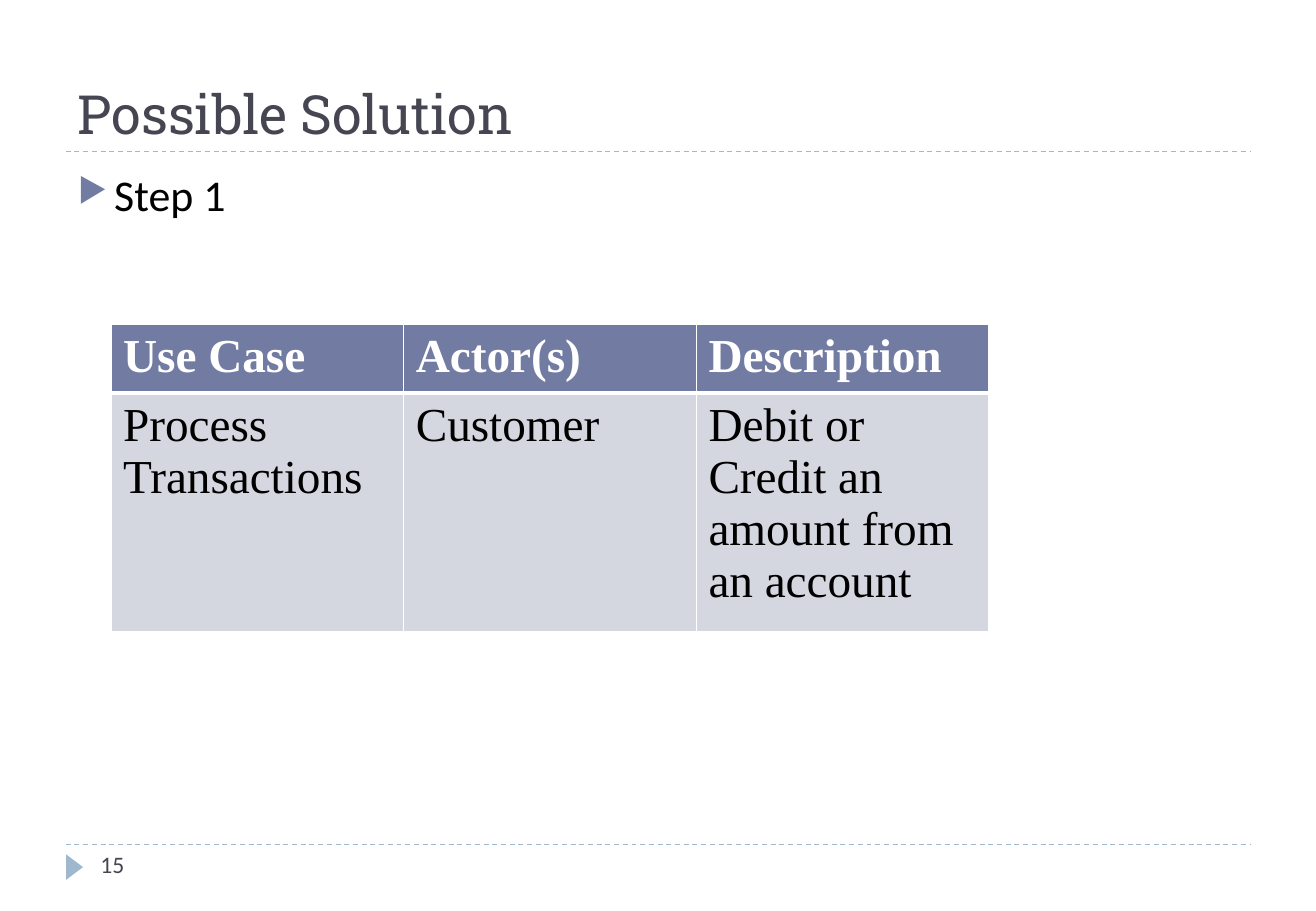
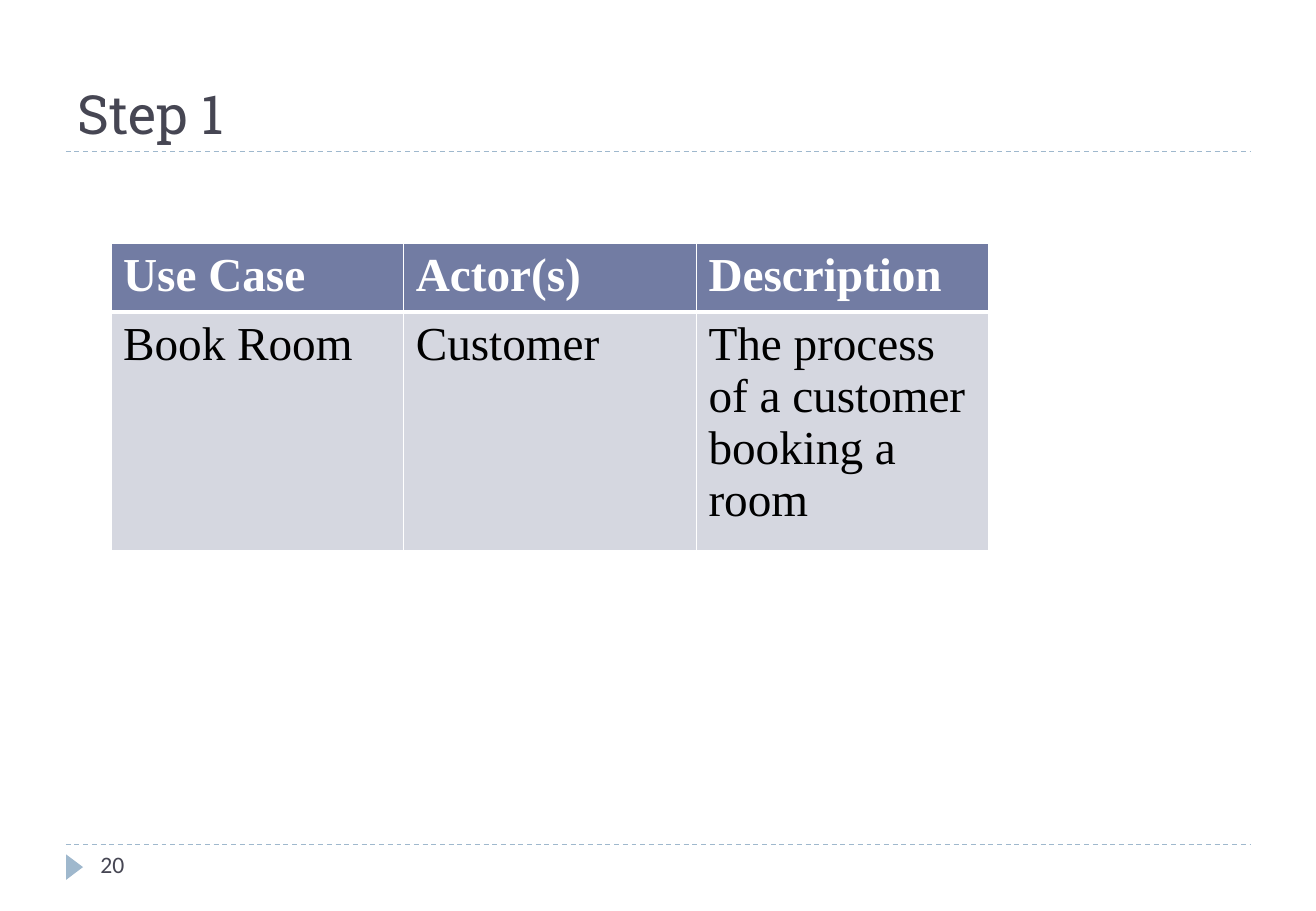
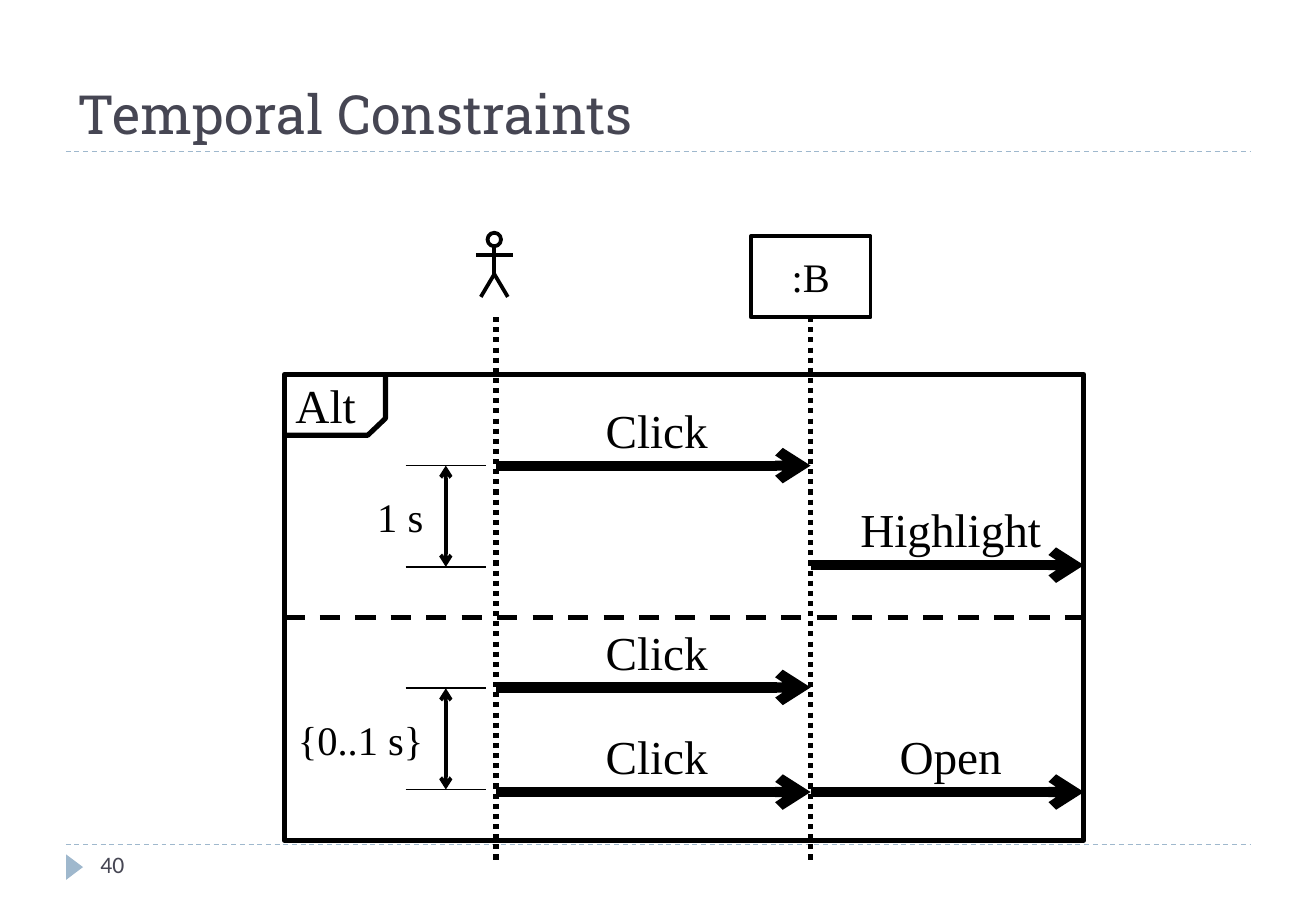
from pptx import Presentation
from pptx.dml.color import RGBColor
from pptx.enum.dml import MSO_LINE
from pptx.enum.shapes import MSO_CONNECTOR, MSO_SHAPE
from pptx.enum.text import MSO_ANCHOR, MSO_AUTO_SIZE, PP_ALIGN
from pptx.oxml.ns import qn
from pptx.util import Pt
from lxml.etree import SubElement

BLACK, WHITE = "000000", "FFFFFF"
INK, ACCENT, PALE, RULE = "464653", "727CA3", "D5D7E0", "9FB8CD"
TITLE_FONT, BODY_FONT, DIAGRAM_FONT = "Roboto Slab", "Calibri", "Times New Roman"
MARGIN, CONTENT_WIDTH = 39, 702
TITLE_RULE_Y, FOOTER_Y = 90, 500.4


def rgb(value):
    return RGBColor.from_string(value)


def style(paragraph, font, size, color, align=PP_ALIGN.LEFT, bold=False):
    paragraph.alignment = align
    paragraph.font.name = font
    paragraph.font.size = Pt(size)
    paragraph.font.color.rgb = rgb(color)
    paragraph.font.bold = bold


def add_text(slide, text, box, font, size, color=BLACK, align=PP_ALIGN.LEFT,
             anchor=MSO_ANCHOR.TOP, wrap=True):
    shape = slide.shapes.add_textbox(*map(Pt, box))
    frame = shape.text_frame
    frame.word_wrap = wrap
    frame.vertical_anchor = anchor
    frame.text = text
    style(frame.paragraphs[0], font, size, color, align)
    return shape


def add_line(slide, start, end, width, color=BLACK, dash=None, head=False, tail=False):
    line = slide.shapes.add_connector(MSO_CONNECTOR.STRAIGHT, *map(Pt, (*start, *end)))
    line.line.color.rgb = rgb(color)
    line.line.width = Pt(width)
    if dash:
        line.line.dash_style = dash
    properties = line.line._get_or_add_ln()
    for tag, wanted in (("a:headEnd", head), ("a:tailEnd", tail)):
        if wanted:
            SubElement(properties, qn(tag), type="arrow")
    SubElement(line._element.spPr, qn("a:effectLst"))
    return line


def paint(shape, fill=None, line_width=0):
    """Give a shape a plain fill, a black outline and no shadow."""
    shape.shadow.inherit = False
    if fill:
        shape.fill.solid()
        shape.fill.fore_color.rgb = rgb(fill)
    else:
        shape.fill.background()
    if line_width:
        shape.line.color.rgb = rgb(BLACK)
        shape.line.width = Pt(line_width)
    else:
        shape.line.fill.background()


def add_slide(presentation, title, number):
    """Title, dashed rules and numbered footer of every slide."""
    slide = presentation.slides.add_slide(presentation.slide_layouts[5])
    for y in (TITLE_RULE_Y, FOOTER_Y):
        add_line(slide, (MARGIN, y), (MARGIN + CONTENT_WIDTH, y), 0.75, RULE, MSO_LINE.DASH)

    marker = slide.shapes.add_shape(MSO_SHAPE.ISOSCELES_TRIANGLE,
                                    Pt(36.7), Pt(509), Pt(15), Pt(10))
    marker.rotation = 90
    paint(marker, RULE)
    add_text(slide, str(number), (52.5, FOOTER_Y, 169, 29), BODY_FONT, 14, INK)

    placeholder = slide.shapes.title
    placeholder.left, placeholder.top = Pt(MARGIN), Pt(12)
    placeholder.width, placeholder.height = Pt(CONTENT_WIDTH), Pt(TITLE_RULE_Y - 12)
    frame = placeholder.text_frame
    frame.text = title
    frame.auto_size = MSO_AUTO_SIZE.NONE
    frame.vertical_anchor = MSO_ANCHOR.BOTTOM
    style(frame.paragraphs[0], TITLE_FONT, 32, INK)
    return slide


def add_bullet(slide, text, box):
    paragraph = add_text(slide, text, box, BODY_FONT, 26).text_frame.paragraphs[0]
    paragraph.space_before = Pt(6)
    properties = paragraph._p.get_or_add_pPr()
    properties.set("marL", str(Pt(21.6)))
    properties.set("indent", str(-Pt(21.6)))
    color = SubElement(properties, qn("a:buClr"))
    SubElement(color, qn("a:srgbClr"), val=ACCENT)
    SubElement(properties, qn("a:buSzPct"), val="76000")
    SubElement(properties, qn("a:buChar"), char="▶")


def set_borders(cell, widths):
    """Put white borders before the fill, as the schema orders them."""
    properties = cell._tc.get_or_add_tcPr()
    for position, (side, width) in enumerate(widths.items()):
        border = SubElement(properties, qn(f"a:ln{side}"), w=str(Pt(width)))
        SubElement(SubElement(border, qn("a:solidFill")), qn("a:srgbClr"), val=WHITE)
        properties.insert(position, border)


def add_use_case_table(slide, left, top, use_case):
    """Header and one use case; rows grow from their least height to fit the text."""
    rows = (("Use Case", "Actor(s)", "Description"), use_case)
    row_height, column_width = 29.5, 173.5
    table = slide.shapes.add_table(2, 3, Pt(left), Pt(top),
                                   Pt(3 * column_width), Pt(2 * row_height)).table
    for column in table.columns:
        column.width = Pt(column_width)
    for row_index, texts in enumerate(rows):
        header = row_index == 0
        table.rows[row_index].height = Pt(row_height)
        for column_index, text in enumerate(texts):
            cell = table.cell(row_index, column_index)
            cell.text = text
            cell.fill.solid()
            cell.fill.fore_color.rgb = rgb(ACCENT if header else PALE)
            style(cell.text_frame.paragraphs[0], DIAGRAM_FONT, 28,
                  WHITE if header else BLACK, bold=header)
            set_borders(cell, {"L": 1, "R": 1, "T": 1 if header else 3,
                               "B": 3 if header else 1})


def add_actor(slide, x, top):
    """Stick figure centred on x."""
    hip = (x, top + 24.5)
    limbs = (
        ((x, top + 2), hip),
        ((x - 8, top + 38), hip),
        ((x + 8, top + 38), hip),
        ((x - 11, top + 13), (x + 11, top + 13)),
    )
    for start, end in limbs:
        add_line(slide, start, end, 2.25)
    head = slide.shapes.add_shape(MSO_SHAPE.OVAL, Pt(x - 4), Pt(top), Pt(8), Pt(8))
    paint(head, WHITE, 2.25)


def add_object(slide, x, top, text):
    """Object box centred on x."""
    box = slide.shapes.add_shape(MSO_SHAPE.RECTANGLE,
                                 Pt(x - 35.5), Pt(top), Pt(71), Pt(48))
    paint(box, line_width=2.25)
    box.text_frame.text = text
    box.text_frame.vertical_anchor = MSO_ANCHOR.MIDDLE
    style(box.text_frame.paragraphs[0], DIAGRAM_FONT, 24, BLACK, PP_ALIGN.CENTER)
    return box


def add_label(slide, text, center_x, top):
    """One-line label, in a box wide enough for the longest message."""
    width = 150
    add_text(slide, text, (center_x - width / 2, top, width, 41), DIAGRAM_FONT, 28,
             align=PP_ALIGN.CENTER, anchor=MSO_ANCHOR.BOTTOM, wrap=False)


def add_message(slide, text, start_x, end_x, y):
    add_line(slide, (start_x, y), (end_x, y), 6, tail=True)
    add_label(slide, text, (start_x + end_x) / 2 + 2, y - 42)


def add_duration(slide, text, left, y, height=60):
    """Two ticks joined by a double arrow, with the label on its left."""
    arrow_x = left + 23.75
    for tick_y in (y, y + height):
        add_line(slide, (left, tick_y), (left + 47.5, tick_y), 1)
    add_line(slide, (arrow_x, y), (arrow_x, y + height), 2.25, head=True, tail=True)
    add_text(slide, text, (left - 72, y + height / 2 - 18, 89.5, 36), DIAGRAM_FONT, 24,
             align=PP_ALIGN.RIGHT, anchor=MSO_ANCHOR.BOTTOM)


def add_alt_frame(slide, left, top, width, height):
    frame = slide.shapes.add_shape(MSO_SHAPE.RECTANGLE,
                                   Pt(left), Pt(top), Pt(width), Pt(height))
    paint(frame, line_width=3)
    # Corner tab
    builder = slide.shapes.build_freeform(Pt(left), Pt(top + 36))
    corners = ((49.5, 36), (60, 26), (60, 0))
    builder.add_line_segments([(Pt(left + x), Pt(top + y)) for x, y in corners], close=False)
    paint(builder.convert_to_shape(), line_width=3)
    add_label(slide, "Alt", left + 24.5, top - 3)
    # Divider between the two alternatives
    add_line(slide, (left, top + 144), (left + width, top + 144), 3, dash=MSO_LINE.DASH)


def add_sequence_diagram(slide, left, top, width, height):
    """Sequence diagram whose alternative frame fills the given box."""
    actor_x, object_x, right = left + 125.5, left + 312, left + width
    lifeline_top, lifeline_bottom = top - 34, top + height + 12

    # Participants and lifelines
    add_actor(slide, actor_x - 1, top - 84)
    object_box = add_object(slide, object_x, lifeline_top - 48, ":B")
    add_line(slide, (actor_x, lifeline_top), (actor_x, lifeline_bottom), 3,
             dash=MSO_LINE.ROUND_DOT)
    object_line = add_line(slide, (object_x, lifeline_top), (object_x, lifeline_bottom), 3,
                           dash=MSO_LINE.ROUND_DOT)
    object_line.begin_connect(object_box, 2)

    add_alt_frame(slide, left, top, width, height)

    # Messages
    for text, start_x, end_x, y in (
        ("Click", actor_x, object_x, 54),
        ("Highlight", object_x, right, 113),
        ("Click", actor_x, object_x, 185.5),
        ("Click", actor_x, object_x, 247.5),
        ("Open", object_x, right, 247.5),
    ):
        add_message(slide, text, start_x, end_x, top + y)

    # Time constraints
    for text, y in (("1 s", 54), ("{0..1 s}", 186)):
        add_duration(slide, text, left + 72, top + y)


def main():
    presentation = Presentation()
    presentation.slide_width, presentation.slide_height = Pt(780), Pt(540)

    slide = add_slide(presentation, "Possible Solution", 15)
    add_bullet(slide, "Step 1", (MARGIN, 96, CONTENT_WIDTH, 389))
    add_use_case_table(slide, 65.8, 192, (
        "Process Transactions", "Customer", "Debit or Credit an amount from an account"))

    slide = add_slide(presentation, "Step 1", 20)
    add_use_case_table(slide, 65.8, 144, (
        "Book Room", "Customer", "The process of a customer booking a room"))

    slide = add_slide(presentation, "Temporal Constraints", 40)
    add_sequence_diagram(slide, 168.5, 222, 474, 276)

    presentation.save("out.pptx")


if __name__ == "__main__":
    main()
